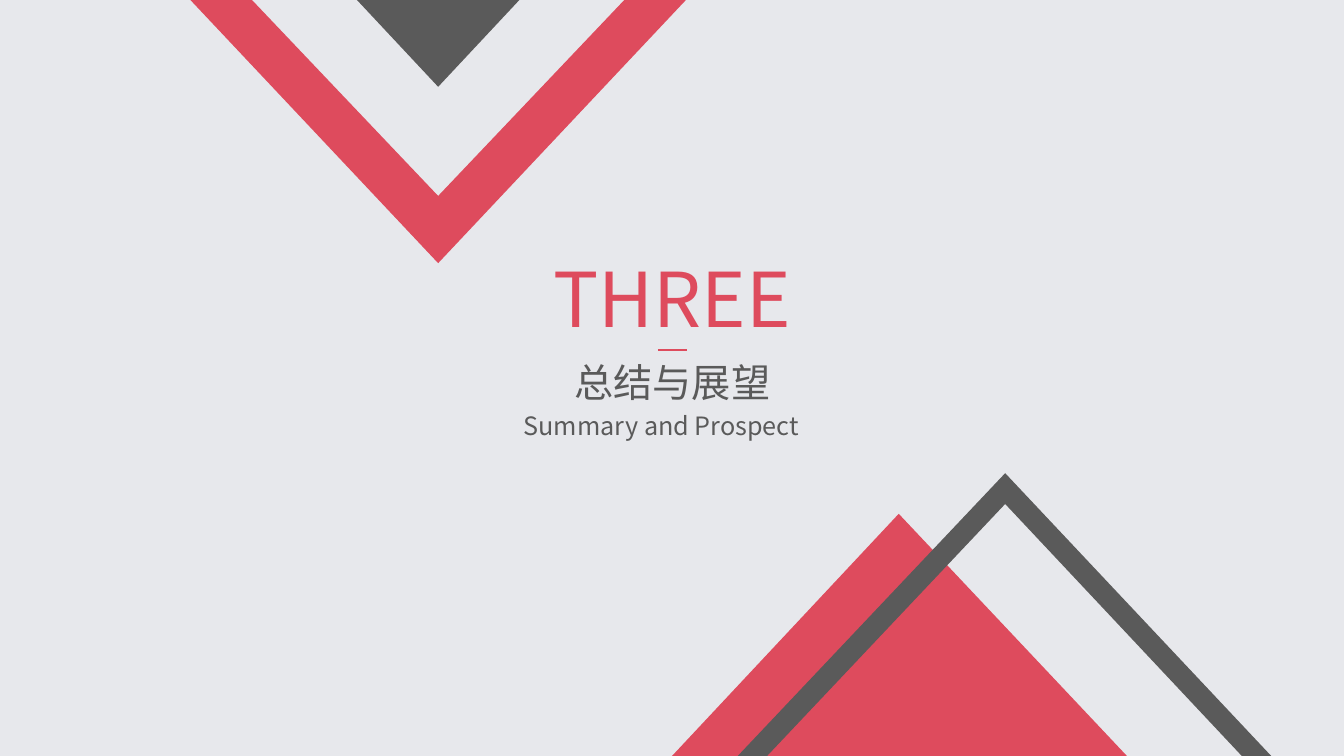
import pptx
import pptx.dml.color
import pptx.enum.shapes
import pptx.enum.text
import pptx.oxml
import pptx.oxml.ns
import pptx.util

Pt = pptx.util.Pt
RED = pptx.dml.color.RGBColor(0xDE, 0x4B, 0x5D)
GRAY = pptx.dml.color.RGBColor(0x5A, 0x5A, 0x5A)
PALE = pptx.dml.color.RGBColor(0xE7, 0xE8, 0xEC)
FONT = "Noto Sans CJK SC"
CENTER = pptx.enum.text.PP_ALIGN.CENTER
LEFT = pptx.enum.text.PP_ALIGN.LEFT

deck = pptx.Presentation()
deck.slide_width, deck.slide_height = Pt(960), Pt(540)
section = deck.slides.add_slide(deck.slide_layouts[0])
section.background.fill.solid()
section.background.fill.fore_color.rgb = PALE

triangles = [
    (RED, [(313, 188), (490, 0), (445.5, 0), (313, 140.5), (180.5, 0), (136, 0)]),
    (GRAY, [(313, 61.5), (371, 0), (255, 0)]),
    (RED, [(642.5, 367), (805, 540), (480, 540)]),
    (GRAY, [(527, 540), (548, 540), (717.5, 360), (887, 540), (908, 540), (717.5, 338)]),
]
for color, corners in triangles:
    outline = section.shapes.build_freeform(*corners[0], scale=float(Pt(1)))
    outline.add_line_segments(corners[1:], close=True)
    triangle = outline.convert_to_shape()
    triangle.shadow.inherit = False
    triangle.fill.solid()
    triangle.fill.fore_color.rgb = color
    triangle.line.fill.background()

number = section.shapes.title
heading = section.placeholders[1]
translation = section.shapes.add_textbox(0, 0, 0, 0)
captions = [
    (translation, "Summary and Prospect", (367, 289.5, 217.5, 29), 18, GRAY, LEFT, False),
    (heading, "总结与展望", (340.5, 252.5, 279.5, 41), 28, GRAY, CENTER, True),
    (number, "THREE", (348, 176.5, 264, 73), 54, RED, CENTER, True),
]
for caption, wording, box, size, color, alignment, wrap in captions:
    caption.left, caption.top, caption.width, caption.height = map(Pt, box)
    frame_format = {
        "text": wording,
        "word_wrap": wrap,
        "auto_size": pptx.enum.text.MSO_AUTO_SIZE.SHAPE_TO_FIT_TEXT,
        "vertical_anchor": pptx.enum.text.MSO_ANCHOR.TOP,
    }
    for key, value in frame_format.items():
        setattr(caption.text_frame, key, value)
    paragraph = caption.text_frame.paragraphs[0]
    for key, value in {"alignment": alignment, "space_before": Pt(0)}.items():
        setattr(paragraph, key, value)
    run = paragraph.runs[0]
    for key, value in {"name": FONT, "size": Pt(size)}.items():
        setattr(run.font, key, value)
    run.font.color.rgb = color
    east_asian = pptx.oxml.parse_xml(
        f'<a:ea {pptx.oxml.ns.nsdecls("a")} typeface="{FONT}"/>')
    run.font._element.find(pptx.oxml.ns.qn("a:latin")).addnext(east_asian)

divider = section.shapes.add_connector(
    pptx.enum.shapes.MSO_CONNECTOR.STRAIGHT, Pt(470), Pt(250), Pt(490.5), Pt(250))
divider.line.color.rgb = RED
divider.line.width = Pt(1.75)
divider._element.spPr.append(
    pptx.oxml.parse_xml(f'<a:effectLst {pptx.oxml.ns.nsdecls("a")}/>'))

deck.save("out.pptx")
